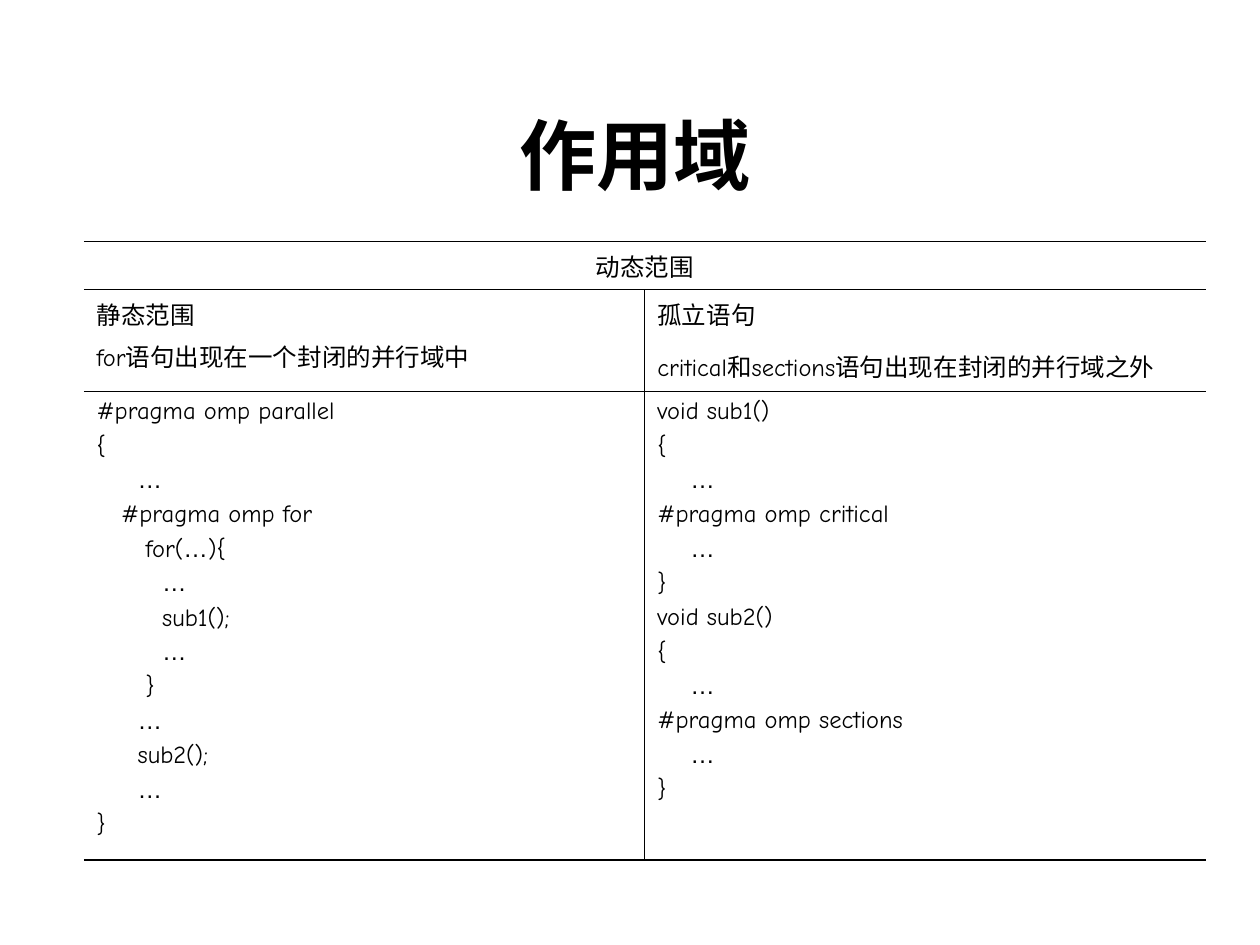
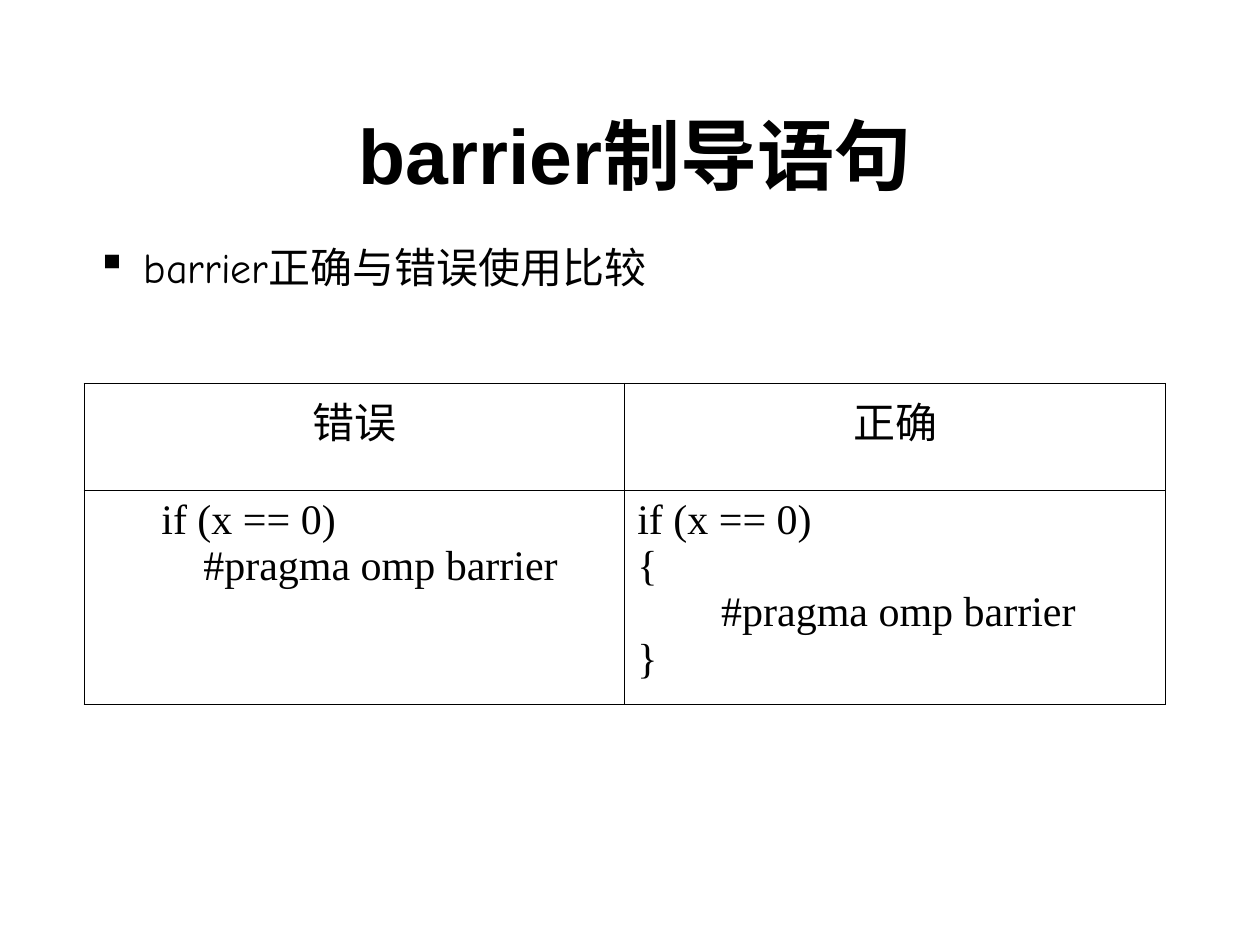
import pptx
import pptx.util
import pptx.dml.color
import pptx.enum.text
import pptx.oxml
import pptx.oxml.ns
import lxml.etree

Pt = pptx.util.Pt
ALIGN = pptx.enum.text.PP_ALIGN
ANCHOR = pptx.enum.text.MSO_ANCHOR
INK = pptx.dml.color.RGBColor(0, 0, 0)
TITLE_FONT, BODY_FONT, CODE_FONT = "Arial", "Comic Neue", "Times New Roman"
THIN, THICK = 0.45, 1.08
LEFT, TITLE_LEFT, WIDTH = 48, 54, 618

SCOPE_TITLE = "作用域"
SCOPE_HEAD = "动态范围"
SCOPE_NOTES = [
    (["静态范围", "for语句出现在一个封闭的并行域中"], 3.5),
    (["孤立语句", "critical和sections语句出现在封闭的并行域之外"], 9.2),
]
SCOPE_CODE = [
    [
        "#pragma omp parallel",
        "{",
        "     …",
        "   #pragma omp for",
        "      for(…){",
        "        …",
        "        sub1();",
        "        …",
        "      }",
        "     …",
        "     sub2();",
        "     …",
        "}",
    ],
    [
        "void sub1()",
        "{",
        "    …",
        "#pragma omp critical",
        "    …",
        "}",
        "void sub2()",
        "{",
        "    …",
        "#pragma omp sections",
        "    …",
        "}",
    ],
]

BARRIER_TITLE = "barrier制导语句"
BARRIER_POINT = "barrier正确与错误使用比较"
BARRIER_USES = [
    ("错误", ["if (x == 0)", "    #pragma omp barrier"], 10),
    ("正确", ["if (x == 0)", "{", "        #pragma omp barrier", "}"], -27),
]


def write(frame, lines, size, font, bold=False, align=ALIGN.LEFT, gap=0,
          margin=0, indent=0, bullet=None):
    frame.word_wrap = True
    for number, line in enumerate(lines):
        para = frame.add_paragraph() if number else frame.paragraphs[0]
        para.alignment = align
        para.space_before = Pt(gap if number else 0)
        properties = para._p.get_or_add_pPr()
        properties.set("marL", str(Pt(margin)))
        properties.set("indent", str(Pt(indent)))
        if bullet:
            mark = lxml.etree.SubElement(properties, pptx.oxml.ns.qn("a:buChar"))
            mark.set("char", bullet)
        before, *rest = line.split("…")
        pieces = [(before, font)]
        for after in rest:
            pieces += [("…", TITLE_FONT), (after, font)]
        for text, name in pieces:
            if text:
                span = para.add_run()
                span.text = text
                span.font.size = Pt(size)
                span.font.name = name
                span.font.bold = bold
                span.font.color.rgb = INK


def add_box(page, left, top, width, height, inset=0):
    box = page.shapes.add_textbox(Pt(left), Pt(top), Pt(width), Pt(height))
    frame = box.text_frame
    frame.margin_left = frame.margin_right = Pt(inset)
    frame.margin_top = frame.margin_bottom = 0
    return frame


def add_page(deck, title):
    page = deck.slides.add_slide(deck.slide_layouts[6])
    frame = add_box(page, TITLE_LEFT, 54, WIDTH, 60)
    frame.vertical_anchor = ANCHOR.BOTTOM
    write(frame, [title], 44, TITLE_FONT, bold=True, align=ALIGN.CENTER)
    return page


def set_borders(cell, **widths):
    cell.fill.background()
    properties = cell._tc.get_or_add_tcPr()
    for place, side in enumerate("LRTB"):
        width = widths.get(side, 0)
        fill = f'<a:solidFill><a:srgbClr val="{INK}"/></a:solidFill>' if width else "<a:noFill/>"
        properties.insert(place, pptx.oxml.parse_xml(
            f'<a:ln{side} {pptx.oxml.ns.nsdecls("a")} w="{Pt(width)}">{fill}</a:ln{side}>'))


def add_grid(page, top, width, heights):
    frame = page.shapes.add_table(len(heights), 2, Pt(LEFT), Pt(top), Pt(width), Pt(sum(heights)))
    grid = frame.table
    grid.first_row = grid.horz_banding = False
    for row, height in zip(grid.rows, heights):
        row.height = Pt(height)
    for column in grid.columns:
        column.width = Pt(width / 2)
    return grid


def build_scope(deck):
    page = add_page(deck, SCOPE_TITLE)
    grid = add_grid(page, 138, 641, [27.4, 58.3, 267.8])
    grid.cell(0, 0).merge(grid.cell(0, 1))
    write(grid.cell(0, 0).text_frame, [SCOPE_HEAD], 14, BODY_FONT, align=ALIGN.CENTER)
    for column, ((notes, gap), code) in enumerate(zip(SCOPE_NOTES, SCOPE_CODE)):
        write(grid.cell(1, column).text_frame, notes, 14, BODY_FONT, gap=gap)
        write(grid.cell(2, column).text_frame, code, 14, BODY_FONT, gap=3.5)
        inner = {"L" if column else "R": THIN}
        set_borders(grid.cell(0, column), T=THICK, B=THIN)
        set_borders(grid.cell(1, column), T=THIN, B=THIN, **inner)
        set_borders(grid.cell(2, column), T=THIN, B=THICK, **inner)


def build_barrier(deck):
    page = add_page(deck, BARRIER_TITLE)
    grid = add_grid(page, 219, WIDTH, [61.2, 122.4])
    for column, (head, code, indent) in enumerate(BARRIER_USES):
        write(grid.cell(0, column).text_frame, [head], 24, CODE_FONT,
              align=ALIGN.CENTER, margin=27, indent=-27)
        write(grid.cell(1, column).text_frame, code, 24, CODE_FONT, margin=27, indent=indent)
        for row in range(2):
            set_borders(grid.cell(row, column), L=THIN, R=THIN, T=THIN, B=THIN)
    frame = add_box(page, LEFT, 138, WIDTH, 360, inset=7.2)
    write(frame, [BARRIER_POINT], 24, BODY_FONT, margin=27, indent=-27, bullet="▪")


def main():
    deck = pptx.Presentation()
    deck.slide_width, deck.slide_height = Pt(720), Pt(540)
    build_scope(deck)
    build_barrier(deck)
    deck.save("out.pptx")


if __name__ == "__main__":
    main()
